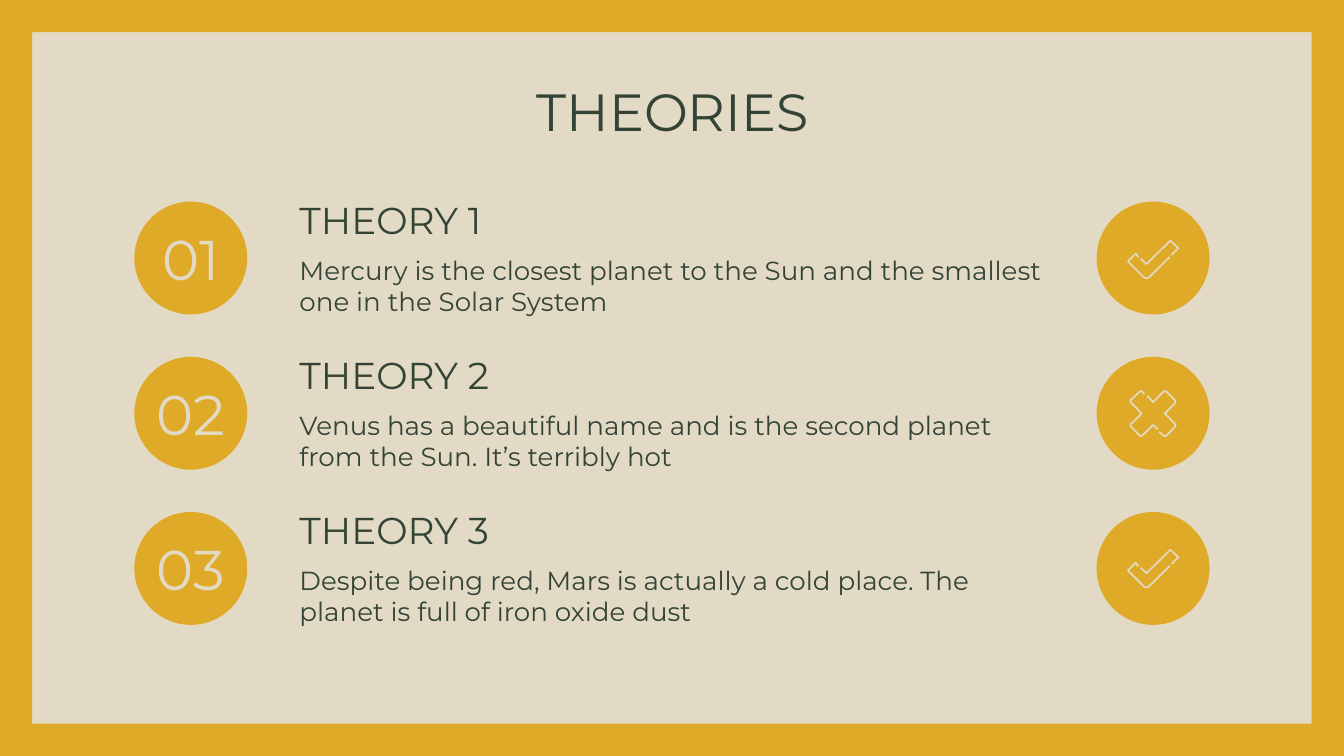
from pptx import Presentation
from pptx.dml.color import RGBColor
from pptx.enum.shapes import MSO_SHAPE
from pptx.enum.text import MSO_ANCHOR, MSO_AUTO_SIZE, PP_ALIGN
from pptx.util import Inches, Pt

OVAL, FRAME = MSO_SHAPE.OVAL, MSO_SHAPE.FRAME
TOP, MID, LOW = MSO_ANCHOR.TOP, MSO_ANCHOR.MIDDLE, MSO_ANCHOR.BOTTOM
LEFT, CENTER = PP_ALIGN.LEFT, PP_ALIGN.CENTER
FIXED = MSO_AUTO_SIZE.NONE

THEME = {
    "font": "Montserrat",
    "gold": RGBColor.from_string("DFAA28"),
    "sand": RGBColor.from_string("E3DAC5"),
    "ink": RGBColor.from_string("334436"),
    "title": 28, "head": 20, "body": 14, "number": 30, "stroke": 0.9,
}

TITLE = "THEORIES"
ROWS = [
    ("THEORY 1", "Mercury is the closest planet to the Sun and the smallest "
     "one in the Solar System", "check"),
    ("THEORY 2", "Venus has a beautiful name and is the second planet "
     "from the Sun. It’s terribly hot", "cross"),
    ("THEORY 3", "Despite being red, Mars is actually a cold place. The "
     "planet is full of iron oxide dust", "check"),
]

# Open strokes, in thousandths of an inch from the corner of the disc
ICONS = {
    "check": [
        [(310, 413), (290, 387), (232, 445), (345, 558), (357, 567),
         (370, 570), (383, 567), (395, 558), (543, 412)],
        [(327, 424), (370, 465), (548, 290), (607, 347), (555, 398)],
    ],
    "cross": [
        [(375, 295), (420, 342), (495, 267), (510, 260), (520, 265),
         (583, 330), (588, 340), (583, 350), (507, 427), (583, 505),
         (588, 515), (583, 525), (520, 590), (508, 595), (495, 590),
         (465, 562)],
        [(355, 283), (340, 265), (330, 260), (320, 265), (255, 325),
         (250, 335), (255, 345), (335, 427), (255, 505), (250, 515),
         (255, 525), (320, 590), (330, 595), (340, 590), (420, 513),
         (455, 545)],
    ],
}

WIDE = 10
HIGH = WIDE * 9 / 16
EDGE = 0.24
FIRST, PITCH, ICON_PITCH = 1.5, 1.155, 1.15
DISC, DISC_X, ICON_X = 0.84, 1, 8.16
TEXT_X, TEXT_W = 2.13, 5.73


def set_text(shape, text, size, color="ink", align=LEFT, anchor=TOP, side=0.1):
    frame = shape.text_frame
    frame.text = text
    form = {
        "word_wrap": True, "auto_size": FIXED, "vertical_anchor": anchor,
        "margin_left": Inches(side), "margin_right": Inches(side),
        "margin_top": Inches(0.1), "margin_bottom": Inches(0.1),
    }
    for name, value in form.items():
        setattr(frame, name, value)
    para = frame.paragraphs[0]
    para.alignment = align
    font = para.runs[0].font
    font.name, font.size = THEME["font"], Pt(THEME[size])
    font.color.rgb = THEME[color]


def add_gold(slide, kind, *box):
    shape = slide.shapes.add_shape(kind, *map(Inches, box))
    shape.shadow.inherit = False
    shape.fill.solid()
    shape.fill.fore_color.rgb = THEME["gold"]
    shape.line.fill.background()
    return shape


def add_label(slide, box, text, size, anchor=TOP):
    label = slide.shapes.add_textbox(*map(Inches, box))
    set_text(label, text, size, anchor=anchor)


def draw_icon(slide, name, x, y):
    for start, *rest in ICONS[name]:
        pen = slide.shapes.build_freeform(*start, scale=Inches(1) / 1000)
        pen.add_line_segments(rest, close=False)
        stroke = pen.convert_to_shape(Inches(x), Inches(y))
        stroke.shadow.inherit = False
        stroke.fill.background()
        stroke.line.color.rgb = THEME["sand"]
        stroke.line.width = Pt(THEME["stroke"])


def main():
    deck = Presentation()
    deck.slide_width, deck.slide_height = Inches(WIDE), Inches(HIGH)
    slide = deck.slides.add_slide(deck.slide_layouts[5])
    back = slide.background.fill
    back.solid()
    back.fore_color.rgb = THEME["sand"]

    border = add_gold(slide, FRAME, 0, 0, WIDE, HIGH)
    border.adjustments[0] = EDGE / HIGH

    title = slide.shapes.title
    title.left, title.top = Inches(0.79), Inches(0.49)
    title.width, title.height = Inches(8.43), Inches(0.63)
    set_text(title, TITLE, "title", align=CENTER)

    for i, (head, body, icon) in enumerate(ROWS):
        y = FIRST + i * PITCH
        add_label(slide, (TEXT_X, y, TEXT_W, 0.4), head, "head", LOW)
        add_label(slide, (TEXT_X, y + 0.29, TEXT_W, 0.53), body, "body")
        disc = add_gold(slide, OVAL, DISC_X, y, DISC, DISC)
        set_text(disc, f"{i + 1:02}", "number", "sand", CENTER, MID, 0)
        add_gold(slide, OVAL, ICON_X, y, DISC, DISC)
        draw_icon(slide, icon, ICON_X, FIRST + i * ICON_PITCH)

    deck.save("out.pptx")


if __name__ == "__main__":
    main()
